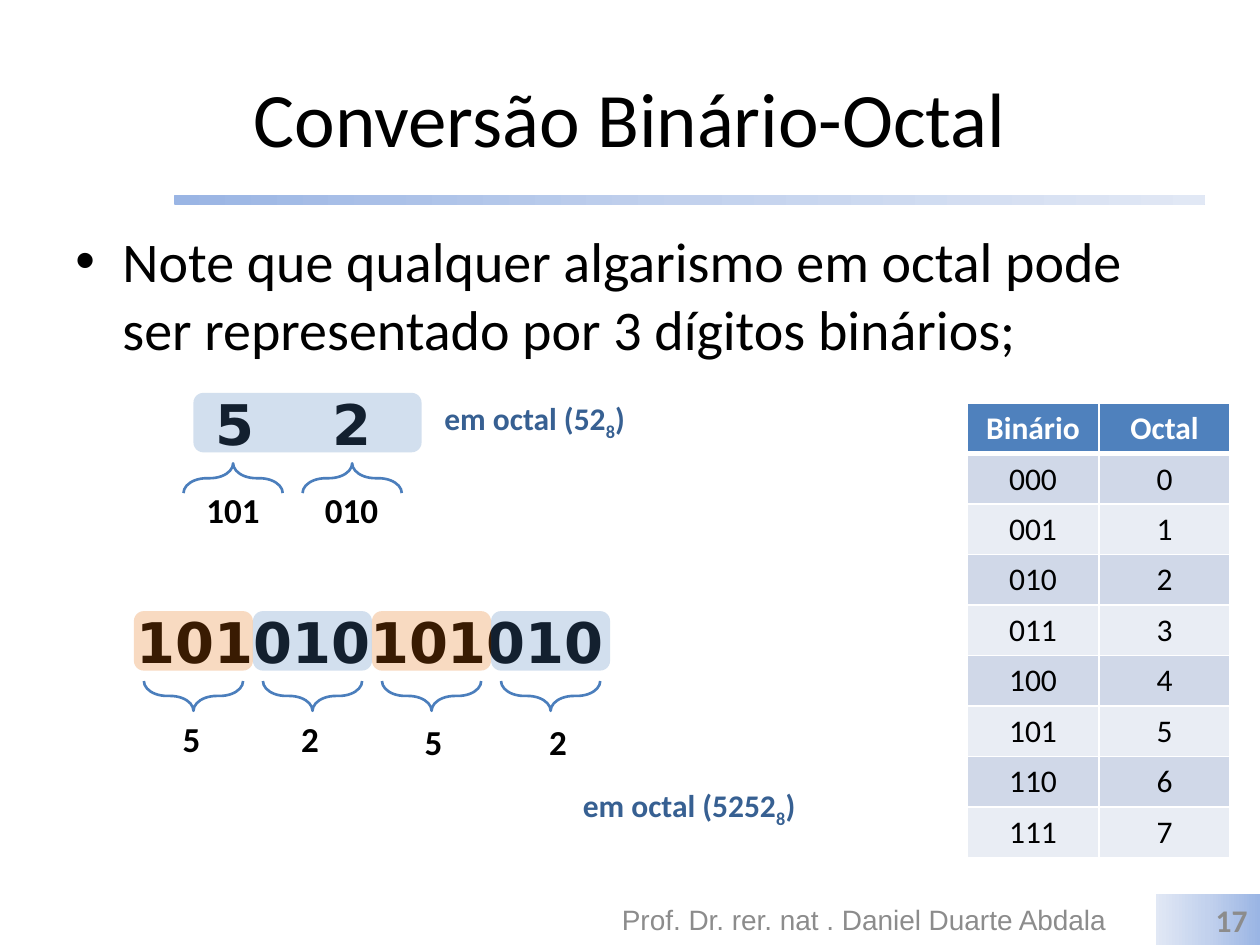
from copy import deepcopy
from lxml import etree
from pptx import Presentation
from pptx.dml.color import RGBColor
from pptx.enum.shapes import MSO_SHAPE
from pptx.enum.text import MSO_ANCHOR, PP_ALIGN
from pptx.oxml import parse_xml
from pptx.oxml.ns import nsdecls, qn
from pptx.util import Cm, Pt

TITLE_ONLY = 5
LEFT, CENTER, RIGHT = PP_ALIGN.LEFT, PP_ALIGN.CENTER, PP_ALIGN.RIGHT
TOP, MIDDLE = MSO_ANCHOR.TOP, MSO_ANCHOR.MIDDLE
ROUNDED, RECTANGLE, BRACE = MSO_SHAPE.ROUNDED_RECTANGLE, MSO_SHAPE.RECTANGLE, MSO_SHAPE.RIGHT_BRACE

THEME = {
    "black": "000000", "white": "FFFFFF", "gray": "8C8C8C", "navy": "376092",
    "blue": "4F81BD", "orange": "E46C0A", "brace": "4B7EBC",
    "bands": ["E9EDF4", "D0D8E8"], "gradient": ["9AB5E4", "C2D1ED", "E1E8F5"],
    "title": 44, "body": 32, "digits": 20, "note": 18, "footer": 16,
    "font": "Calibri", "mono": "DejaVu Sans", "footer_font": "Arial",
}


def write(frame, text, size, color="black", bold=False, font="font", align=LEFT,
          anchor=TOP, wrap=True):
    frame.word_wrap = wrap
    frame.vertical_anchor = anchor
    paragraph = frame.paragraphs[0]
    paragraph.alignment = align
    for index, part in enumerate(text.split("|")):
        run = paragraph.add_run()
        run.text = part
        style = {"size": Pt(THEME[size]), "bold": bold, "name": THEME[font]}
        for key, value in style.items():
            setattr(run.font, key, value)
        run.font.color.rgb = RGBColor.from_string(THEME[color])
        if index == 1:
            run.font._element.set("baseline", "-25000")
    return paragraph


def draw(kind, left, top, width, height, color=None, alpha=None, angle=0):
    shape = slide.shapes.add_shape(kind, Cm(left), Cm(top), Cm(width), Cm(height))
    shape.shadow.inherit = False
    shape.line.fill.background()
    if color:
        shape.fill.solid()
        shape.fill.fore_color.rgb = RGBColor.from_string(THEME[color])
        rgb = shape._element.spPr.find(".//" + qn("a:srgbClr"))
        etree.SubElement(rgb, qn("a:alpha"), val=str(alpha * 1000))
    elif kind == BRACE:
        shape.fill.background()
    else:
        shape.fill.gradient()
        shape.fill.gradient_angle = angle
        stops = shape._element.spPr.find(".//" + qn("a:gsLst"))
        stops.insert(1, deepcopy(stops[0]))
        stops[1].set("pos", "50000")
        for stop, shade in zip(shape.fill.gradient_stops, THEME["gradient"]):
            stop.color.rgb = RGBColor.from_string(shade)
    return shape


presentation = Presentation()
presentation.slide_width, presentation.slide_height = Cm(25.4), Cm(19.05)
slide = presentation.slides.add_slide(presentation.slide_layouts[TITLE_ONLY])

title = slide.shapes.title
title_box = {"left": 1.27, "top": 0.76, "width": 22.86, "height": 3.18}
for side, length in title_box.items():
    setattr(title, side, Cm(length))
write(title.text_frame, "Conversão Binário-Octal", "title", align=CENTER, anchor=MIDDLE)
draw(ROUNDED, 3.5, 3.93, 20.8, 0.2)

TEXTS = [
    (1.27, 4.45, 22.86, 3.2,
     "Note que qualquer algarismo em octal pode ser representado por 3 dígitos binários;",
     {"size": "body"}),
    (12.1, 18.03, 10.64, 1.02, "Prof. Dr. rer. nat . Daniel Duarte Abdala",
     {"size": "footer", "color": "gray", "font": "footer_font", "align": CENTER, "anchor": MIDDLE}),
    (2.5, 12.12, 12, 1.62, "101010101010", {"size": "body", "bold": True, "font": "mono"}),
    (4.1, 7.72, 4, 1.62, "5\t2", {"size": "body", "bold": True, "font": "mono"}),
    (8.71, 7.92, 4.22, 1.02, "em octal (52|8|)",
     {"size": "note", "color": "navy", "bold": True, "wrap": False}),
    (11.5, 15.72, 4.88, 1.02, "em octal (5252|8|)",
     {"size": "note", "color": "navy", "bold": True, "wrap": False}),
]
paragraphs = []
for left, top, width, height, text, style in TEXTS:
    box = slide.shapes.add_textbox(Cm(left), Cm(top), Cm(width), Cm(height))
    paragraphs.append(write(box.text_frame, text, **style))

bullet_format = paragraphs[0]._p.get_or_add_pPr()
bullet_format.set("marL", str(Cm(0.95)))
bullet_format.set("indent", str(-Cm(0.95)))
for tag, attributes in (("a:buFont", {"typeface": "Arial"}), ("a:buChar", {"char": "•"})):
    etree.SubElement(bullet_format, qn(tag), attributes)
paragraphs[0].space_before = Pt(6.4)

octal_tabs = etree.SubElement(paragraphs[3]._p.get_or_add_pPr(), qn("a:tabLst"))
etree.SubElement(octal_tabs, qn("a:tab"), pos=str(Cm(2.36)), algn="l")

GROUP_PITCH = 2.4
draw(ROUNDED, 3.9, 7.92, 4.6, 1.2, "blue", 25)
for group in range(4):
    draw(ROUNDED, 2.7 + group * GROUP_PITCH, 12.32, GROUP_PITCH, 1.2,
         ("orange", "blue")[group % 2], 25)

BRACE_ROWS = [
    (4.7, 9.64, 270, 1.6, [("101", 4.71, 9.73), ("010", 7.1, 9.73)]),
    (3.9, 14.03, 90, 0.86,
     [("5", 3.86, 14.33), ("2", 6.25, 14.33), ("5", 8.74, 14.4), ("2", 11.25, 14.4)]),
]
for first_center, middle, rotation, label_width, labels in BRACE_ROWS:
    for index, (digits, label_center, label_top) in enumerate(labels):
        center = first_center + index * GROUP_PITCH
        brace = draw(BRACE, center - 0.3, middle - 1, 0.6, 2)
        brace.rotation = rotation
        brace.adjustments[0] = 0.78
        brace.line.color.rgb = RGBColor.from_string(THEME["brace"])
        brace.line.width = Pt(1.5)
        label = slide.shapes.add_textbox(Cm(label_center - label_width / 2), Cm(label_top),
                                         Cm(label_width), Cm(1.11))
        write(label.text_frame, digits, "digits", bold=True, wrap=False)

rows = [("Binário", "Octal")] + [(f"{value:03b}", str(value)) for value in range(8)]
table = slide.shapes.add_table(len(rows), 2, Cm(19.5), Cm(8.13), Cm(5.3), Cm(9.14)).table
for row_index, row in enumerate(rows):
    header = row_index == 0
    fill = THEME["blue"] if header else THEME["bands"][row_index % 2]
    for column, text in enumerate(row):
        cell = table.cell(row_index, column)
        write(cell.text_frame, text, "note", "white" if header else "black", header, align=CENTER)
        borders = cell._tc.get_or_add_tcPr()
        for edge in ("L", "R", "T", "B"):
            heavy = (row_index, edge) in ((0, "B"), (1, "T"))
            borders.append(parse_xml(
                f'<a:ln{edge} {nsdecls("a")} w="{Pt(3 if heavy else 1)}"><a:solidFill>'
                f'<a:srgbClr val="{THEME["white"]}"/></a:solidFill></a:ln{edge}>'))
        cell.fill.solid()
        cell.fill.fore_color.rgb = RGBColor.from_string(fill)

page_number = draw(RECTANGLE, 23.3, 18.03, 2.1, 1.02, angle=180)
write(page_number.text_frame, "17", "note", "gray", True, align=RIGHT, anchor=MIDDLE)

presentation.save("out.pptx")
